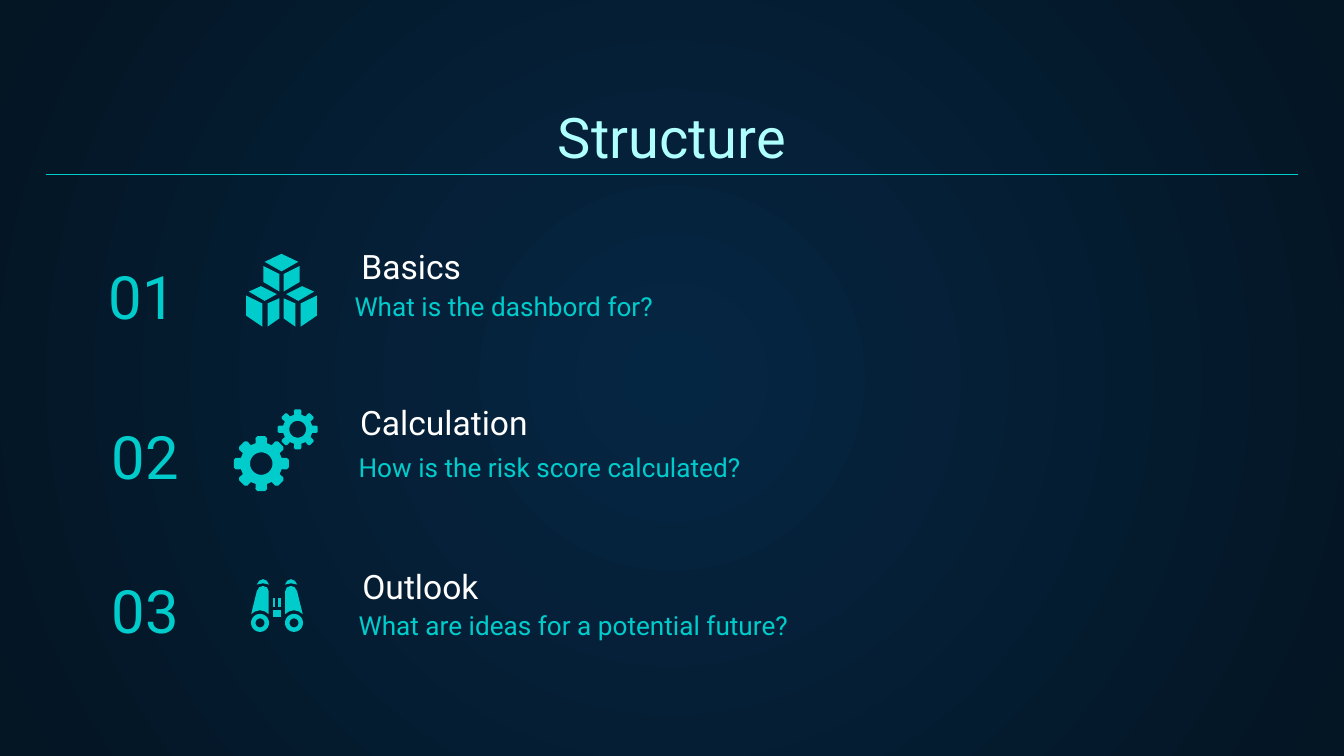
from dataclasses import dataclass
from math import cos, pi, sin

from pptx import Presentation
from pptx.dml.color import RGBColor
from pptx.enum.shapes import MSO_CONNECTOR
from pptx.enum.text import MSO_ANCHOR, MSO_AUTO_SIZE, PP_ALIGN
from pptx.oxml.ns import qn
from pptx.oxml.xmlchemy import OxmlElement
from pptx.util import Pt

LEFT, MID, RIGHT = PP_ALIGN.LEFT, PP_ALIGN.CENTER, PP_ALIGN.RIGHT
TOP, BOTTOM = MSO_ANCHOR.TOP, MSO_ANCHOR.BOTTOM
STRAIGHT = MSO_CONNECTOR.STRAIGHT
FIXED = MSO_AUTO_SIZE.NONE

TEAL = RGBColor(0x00, 0xCC, 0xCC)
PALE = RGBColor(0xAF, 0xFF, 0xFF)
WHITE = RGBColor(0xFF, 0xFF, 0xFF)
NAVY = RGBColor(0x05, 0x26, 0x43)
DARK = RGBColor(0x04, 0x15, 0x23)
FONT = "Roboto"

Spot = tuple[float, float]
Path = list[Spot]


@dataclass
class Label:
    text: str
    left: float
    top: float
    width: float
    height: float
    align: PP_ALIGN = LEFT


@dataclass
class Row:
    number: Label
    head: Label
    detail: Label


@dataclass
class Gear:
    x: float
    y: float
    tip: float
    root: float
    hole: float
    edge: float = 0


ROWS = [
    Row(Label("01", 51.1, 137.5, 92.9, 47.5),
        Label("Basics", 90.7, 145.4, 163.4, 15.1, RIGHT),
        Label("What is the dashbord for?", 172.1, 148.3, 185, 39.6, RIGHT)),
    Row(Label("02", 10.1, 223.2, 92.9, 47.5, RIGHT),
        Label("Calculation", 185.8, 229, 163.4, 15.1),
        Label("How is the risk score calculated?", 185, 234.7, 236.2, 39.6)),
    Row(Label("03", 10.1, 305.3, 92.9, 47.5, RIGHT),
        Label("Outlook", 181.4, 316.8, 82.1, 15.1, RIGHT),
        Label("What are ideas for a potential future?", 185, 319, 277.2, 56.9)),
]

GEARS = [
    Gear(140, 248.4, 14.5, 11, 6.4, 0.75),
    Gear(159.5, 230, 10.8, 8, 4.5),
]

LID = [(0, 0), (-9, 4.3), (0, 9.4), (9, 4.3)]
FACES = [
    [(-9.7, 6.5), (-9.7, 15.1), (-1.1, 20.2), (-1.1, 10.8)],
    [(-11, 17.3), (-17.5, 20.2), (-9, 25.2), (-2.5, 21.6)],
    [(-19, 22.3), (-19, 33.1), (-10.3, 39), (-10.3, 26.6)],
    [(-7.4, 39), (-7.4, 26.6), (-1.1, 23.8), (-1.1, 34.6)],
]

BRIDGE = [(-2.4, 16.6), (2.4, 16.6), (2.4, 20.2), (-2.4, 20.2)]
BAR = [(-2.4, 10.1), (-0.8, 10.1), (-0.8, 15.1), (-2.4, 15.1)]
CAP = [(-10.8, 2.9), (-9.6, 0.9), (-7.5, 0), (-5.4, 0.9), (-4.3, 2.9), (-7.5, 2.2)]
BARREL = [(-7.5, 3.6), (-9.5, 4.3), (-10.8, 6.5), (-13.8, 18.7), (-11.8, 17.3),
          (-9.1, 16.6), (-6.4, 17.3), (-4.4, 18.7), (-4.4, 6.5), (-5.3, 4.4)]


def put(shape, text: str, *, size: float, color: RGBColor,
        align: PP_ALIGN = LEFT, anchor: MSO_ANCHOR = TOP) -> None:
    frame = shape.text_frame
    frame.word_wrap = True
    frame.auto_size = FIXED
    frame.vertical_anchor = anchor
    frame.margin_left = frame.margin_right = Pt(7.2)
    frame.margin_top = frame.margin_bottom = Pt(7.2)
    para = frame.paragraphs[0]
    para.alignment = align
    run = para.add_run()
    run.text = text
    run.font.name = FONT
    run.font.size = Pt(size)
    run.font.color.rgb = color


def label(shapes, item: Label, **style) -> None:
    box = shapes.add_textbox(Pt(item.left), Pt(item.top), Pt(item.width), Pt(item.height))
    put(box, item.text, align=item.align, **style)


def circle(x: float, y: float, size: float) -> Path:
    turns = [2 * pi * i / 32 for i in range(32)]
    return [(x + size * cos(t), y - size * sin(t)) for t in turns]


def flip(part: Path) -> Path:
    return [(-x, y) for x, y in part]


def draw(shapes, parts: list[Path], x: float = 0, y: float = 0, edge: float = 0) -> None:
    spots = [[(Pt(x + a), Pt(y + b)) for a, b in part] for part in parts]
    pen = shapes.build_freeform(*spots[0][0], scale=1.0)
    pen.add_line_segments(spots[0][1:], close=True)
    for part in spots[1:]:
        pen.move_to(*part[0])
        pen.add_line_segments(part[1:], close=True)
    shape = pen.convert_to_shape()
    shape.shadow.inherit = False
    shape.fill.solid()
    shape.fill.fore_color.rgb = TEAL
    if edge:
        shape.line.color.rgb = TEAL
        shape.line.width = Pt(edge)
    else:
        shape.line.fill.background()


def cog(shapes, gear: Gear) -> None:
    rim = []
    for tooth in range(8):
        for turn, size in ((-0.24, gear.root), (-0.2, gear.tip - 0.7), (-0.13, gear.tip),
                           (0.13, gear.tip), (0.2, gear.tip - 0.7), (0.24, gear.root)):
            angle = tooth * pi / 4 + turn
            rim.append((size * cos(angle), size * sin(angle)))
    draw(shapes, [rim, circle(0, 0, gear.hole)], gear.x, gear.y, gear.edge)


def icon(shapes, x: float, y: float, whole: Path, halves: list[list[Path]]) -> None:
    group = shapes.add_group_shape().shapes
    draw(group, [whole], x, y)
    for parts in halves:
        draw(group, parts, x, y)
        draw(group, [flip(part) for part in parts], x, y)


def paint(slide) -> None:
    fill = slide.background.fill
    fill.gradient()
    for stop, color in zip(fill.gradient_stops, (NAVY, DARK)):
        stop.color.rgb = color
    grad = slide.element.find(".//" + qn("a:gradFill"))
    ring = OxmlElement("a:path")
    ring.set("path", "circle")
    focus = OxmlElement("a:fillToRect")
    for side in "ltrb":
        focus.set(side, "50000")
    ring.append(focus)
    grad.replace(grad.find(qn("a:lin")), ring)


def rule(shapes) -> None:
    line = shapes.add_connector(STRAIGHT, Pt(24.5), Pt(93.6), Pt(695.5), Pt(93.6))
    line.line.color.rgb = TEAL
    line.line.width = Pt(0.75)
    line.element.spPr.append(OxmlElement("a:effectLst"))


def main() -> None:
    deck = Presentation()
    deck.slide_width, deck.slide_height = Pt(720), Pt(405)
    slide = deck.slides.add_slide(deck.slide_layouts[5])
    shapes = slide.shapes
    paint(slide)
    title = shapes.title
    title.left, title.top, title.width, title.height = Pt(24.5), Pt(50.4), Pt(671), Pt(47.5)
    put(title, "Structure", size=30, color=PALE, align=MID, anchor=BOTTOM)
    rule(shapes)
    for row in ROWS:
        label(shapes, row.number, size=32, color=TEAL, anchor=BOTTOM)
        label(shapes, row.head, size=18, color=WHITE, anchor=BOTTOM)
        label(shapes, row.detail, size=14, color=TEAL)
    icon(shapes, 150.8, 136, LID, [[face] for face in FACES])
    for gear in GEARS:
        cog(shapes, gear)
    lens = [circle(-9.1, 23.4, 4.8), circle(-9.1, 23.4, 2.4)]
    icon(shapes, 148.4, 310.3, BRIDGE, [[BAR], [CAP], [BARREL], lens])
    deck.save("out.pptx")


if __name__ == "__main__":
    main()
